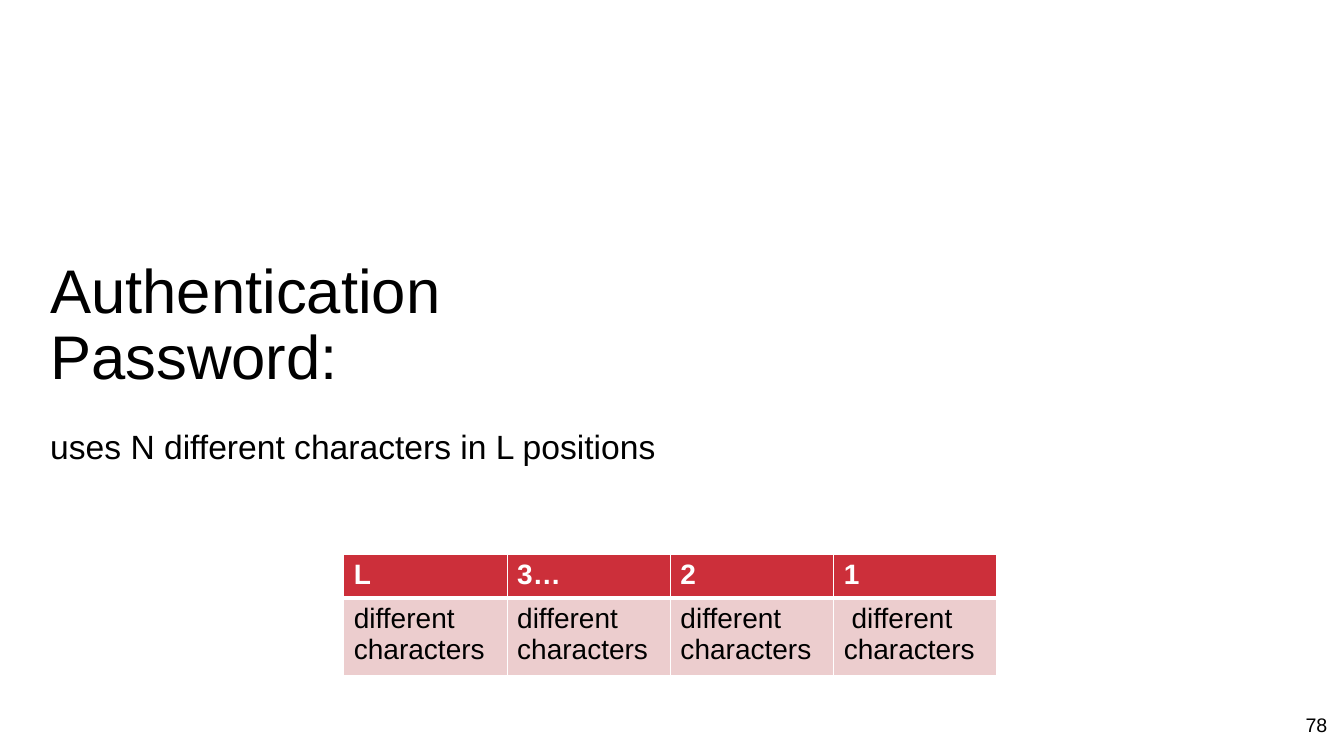
"""Build the password authentication slide."""
from dataclasses import dataclass

from lxml.etree import SubElement
from pptx import Presentation
from pptx.dml.color import RGBColor as RGB
from pptx.enum.text import MSO_ANCHOR as Anchor
from pptx.oxml.ns import qn
from pptx.slide import Slide
from pptx.table import _Cell as Cell
from pptx.text.text import _Paragraph as Paragraph
from pptx.util import Inches, Pt


@dataclass(frozen=True)
class Theme:
    """Colours and type sizes of the slide."""
    font: str = "Arial"
    ink: str = "000000"
    paper: str = "FFFFFF"
    header: str = "CC2F3A"
    body: str = "ECCDCE"
    title_size: int = 44
    subtitle_size: int = 24
    table_size: int = 20
    number_size: int = 14


@dataclass(frozen=True)
class Label:
    """A text box with its place in inches."""
    text: str
    left: float
    top: float
    width: float
    height: float
    size: int


@dataclass(frozen=True)
class Row:
    """A table row with its look and border widths in points."""
    texts: tuple[str, ...]
    height: float
    fill: str
    color: str
    bold: bool
    top: int
    bottom: int


THEME = Theme()
LABELS = (
    Label("78", 12.85, 7.05, 0.48, 0.36, THEME.number_size),
    Label("Authentication\vPassword:", 0.4, 2.53, 12.45, 1.99, THEME.title_size),
    Label("uses N different characters in L positions", 0.4, 4.22, 11.3, 1.19,
          THEME.subtitle_size),
)
ROWS = (
    Row(("L", "3…", "2", "1"), 0.34, THEME.header, THEME.paper, True, 1, 3),
    Row(("different characters",) * 3 + (" different characters",), 0.53,
        THEME.body, THEME.ink, False, 3, 1),
)
COLUMN_WIDTH = 1.62


def style(p: Paragraph, size: int, color: str, bold: bool = False) -> None:
    """Set the font of a paragraph."""
    p.font.name = THEME.font
    p.font.size = Pt(size)
    p.font.bold = bold
    p.font.color.rgb = RGB.from_string(color)


def add_label(s: Slide, label: Label) -> None:
    """Draw a text box."""
    sp = s.shapes.add_textbox(Inches(label.left), Inches(label.top),
                              Inches(label.width), Inches(label.height))
    tf = sp.text_frame
    tf.word_wrap = True
    tf.vertical_anchor = Anchor.TOP
    p = tf.paragraphs[0]
    p.text = label.text
    p.line_spacing = 0.9
    style(p, label.size, THEME.ink)


def add_borders(cell: Cell, top: int, bottom: int) -> None:
    """Draw the four borders of a cell."""
    tc_pr = cell._tc.get_or_add_tcPr()
    for side, width in (("L", 1), ("R", 1), ("T", top), ("B", bottom)):
        ln = SubElement(tc_pr, qn(f"a:ln{side}"), w=str(Pt(width)))
        fill = SubElement(ln, qn("a:solidFill"))
        SubElement(fill, qn("a:srgbClr"), val=THEME.paper)


def add_grid(s: Slide, rows: tuple[Row, ...], left: float, top: float) -> None:
    """Draw the table of password positions."""
    count = len(rows[0].texts)
    table = s.shapes.add_table(
        len(rows), count, Inches(left), Inches(top),
        Inches(COLUMN_WIDTH * count), Inches(sum(row.height for row in rows))).table
    table.horz_banding = False
    for column in table.columns:
        column.width = Inches(COLUMN_WIDTH)
    for i, row in enumerate(rows):
        table.rows[i].height = Inches(row.height)
        for j, text in enumerate(row.texts):
            cell = table.cell(i, j)
            add_borders(cell, row.top, row.bottom)
            cell.fill.solid()
            cell.fill.fore_color.rgb = RGB.from_string(row.fill)
            p = cell.text_frame.paragraphs[0]
            p.text = text
            style(p, THEME.table_size, row.color, row.bold)


def main() -> None:
    """Create and save the presentation."""
    prs = Presentation()
    prs.slide_width, prs.slide_height = Inches(13.33), Inches(7.5)
    s = prs.slides.add_slide(prs.slide_layouts[6])
    for label in LABELS:
        add_label(s, label)
    add_grid(s, ROWS, 3.41, 5.5)
    prs.save("out.pptx")


if __name__ == "__main__":
    main()
